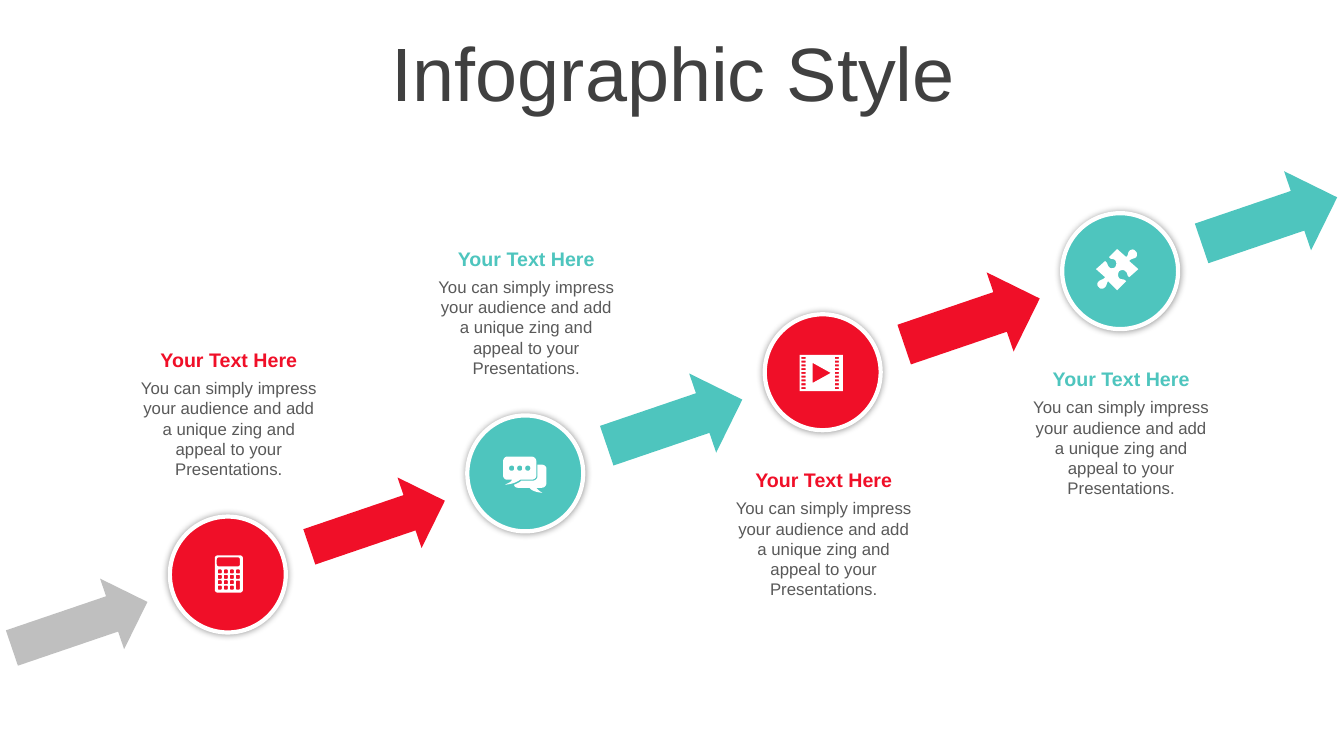
"""Build the rising four-step arrow infographic slide."""
import math
from collections import namedtuple
from lxml import etree
from pptx import Presentation
from pptx.dml.color import RGBColor
from pptx.enum.shapes import MSO_SHAPE
from pptx.enum.text import MSO_ANCHOR, PP_ALIGN
from pptx.oxml.ns import qn
from pptx.util import Inches, Pt

ARROW, CIRCLE = MSO_SHAPE.RIGHT_ARROW, MSO_SHAPE.OVAL
MIDDLE, CENTER = MSO_ANCHOR.MIDDLE, PP_ALIGN.CENTER

Theme = namedtuple("Theme", "font red teal grey white title body title_pt head_pt body_pt")
THEME = Theme("Arial", "F00F28", "4EC5BE", "BFBFBF", "FFFFFF", "404040", "595959", 54, 14, 12)

TITLE = "Infographic Style"
BODY = ("You can simply impress your audience and add a unique zing "
        "and appeal to your Presentations.")
STEPS = [
    ("Your Text Here", BODY, THEME.red, "above"),
    ("Your Text Here", BODY, THEME.teal, "above"),
    ("Your Text Here", BODY, THEME.red, "below"),
    ("Your Text Here", BODY, THEME.teal, "below"),
]
ARROWS = [(THEME.grey, 0.74), (THEME.red, 0.74), (THEME.teal, 0.83),
          (THEME.red, 0.83), (THEME.teal, 0.83)]

RUN, RISE, TILT = 2.95, 3.01 / 3, 341.2
FIRST_ARROW, ARROW_W = (0.79, 6.2), 1.42
FIRST_CIRCLE, CIRCLE_D = (2.26, 5.7), 1.15
TEXT_LEFT, TEXT_W = 1.28, 1.98
HEAD_OFFSET = {"above": -2.3, "below": 0.9}
HEAD_H, BODY_DROP, BODY_H = 0.34, 0.3, 1.11

# Each outline is a start point, then lines (x, y) or cubic curves (six numbers).
FRONT_BUBBLE = [
    (5.03, 4.53), (5.27, 4.53), (5.3, 4.53, 5.32, 4.55, 5.32, 4.58), (5.32, 4.72),
    (5.32, 4.74, 5.3, 4.76, 5.27, 4.76), (5.16, 4.76), (5.11, 4.79, 5.09, 4.8, 5.01, 4.81),
    (5.06, 4.78, 5.06, 4.79, 5.08, 4.76), (5.03, 4.76), (5.01, 4.76, 4.99, 4.74, 4.99, 4.72),
    (4.99, 4.58), (4.99, 4.55, 5.01, 4.53, 5.03, 4.53)]
BACK_BUBBLE = [
    (5.33, 4.61), (5.37, 4.61), (5.4, 4.61, 5.42, 4.63, 5.42, 4.65), (5.42, 4.79),
    (5.42, 4.82, 5.4, 4.84, 5.37, 4.84), (5.32, 4.84), (5.33, 4.85, 5.33, 4.86, 5.38, 4.89),
    (5.3, 4.88, 5.28, 4.87, 5.25, 4.84), (5.14, 4.84), (5.12, 4.84, 5.1, 4.83, 5.1, 4.81),
    (5.12, 4.8, 5.15, 4.79, 5.17, 4.77), (5.28, 4.77), (5.31, 4.77, 5.33, 4.75, 5.33, 4.73)]
PUZZLE = [
    (11.26, 2.49), (11.28, 2.5, 11.28, 2.53, 11.27, 2.55),
    (11.25, 2.57, 11.22, 2.56, 11.2, 2.59), (11.29, 2.67), (11.2, 2.75),
    (11.17, 2.73, 11.19, 2.71, 11.16, 2.69), (11.14, 2.67, 11.12, 2.68, 11.1, 2.69),
    (11.09, 2.71, 11.08, 2.73, 11.1, 2.76), (11.13, 2.78, 11.14, 2.76, 11.17, 2.79),
    (11.08, 2.88), (10.99, 2.79), (10.97, 2.82, 10.98, 2.83, 10.96, 2.85),
    (10.94, 2.87, 10.91, 2.87, 10.9, 2.85), (10.88, 2.84, 10.88, 2.81, 10.89, 2.8),
    (10.91, 2.77, 10.94, 2.78, 10.96, 2.75), (10.87, 2.67), (10.96, 2.59),
    (10.99, 2.61, 10.98, 2.63, 11, 2.65), (11.02, 2.67, 11.05, 2.66, 11.06, 2.65),
    (11.07, 2.63, 11.08, 2.61, 11.06, 2.58), (11.03, 2.56, 11.02, 2.58, 11, 2.55),
    (11.08, 2.47), (11.17, 2.55), (11.2, 2.52, 11.18, 2.51, 11.2, 2.49),
    (11.22, 2.47, 11.25, 2.47, 11.26, 2.49)]


def flatten(outline, parts=8):
    points = [outline[0]]
    for seg in outline[1:]:
        if len(seg) == 2:
            points.append(seg)
            continue
        ctrl = [points[-1], seg[:2], seg[2:4], seg[4:]]
        for n in range(1, parts + 1):
            t = n / parts
            weights = [math.comb(3, k) * t**k * (1 - t)**(3 - k) for k in range(4)]
            points.append(tuple(sum(w * c[axis] for w, c in zip(weights, ctrl))
                                for axis in (0, 1)))
    return points


def rounded(x, y, w, h, r=0.0):
    if not r:
        return [(x, y), (x + w, y), (x + w, y + h), (x, y + h)]
    centers = [(x + w - r, y + h - r), (x + r, y + h - r), (x + r, y + r), (x + w - r, y + r)]
    return [(cx + r * math.cos(math.radians(a)), cy + r * math.sin(math.radians(a)))
            for q, (cx, cy) in enumerate(centers)
            for a in range(90 * q, 90 * q + 91, 15)]


def calculator():
    keys = [rounded(2.16 + 0.06 * col, 5.65 + 0.16 / 3 * row, 0.04, 0.04, 0.01)
            for row in range(4) for col in range(4) if col < 3 or row < 2]
    return [rounded(2.13, 5.51, 0.28, 0.37, 0.03), rounded(2.15, 5.53, 0.23, 0.09, 0.02),
            rounded(2.34, 5.76, 0.04, 0.09, 0.01)] + keys


def chat():
    dots = [rounded(5.05 + 0.08 * n, 4.62, 0.05, 0.05, 0.02) for n in range(3)]
    return [flatten(FRONT_BUBBLE), flatten(BACK_BUBBLE)] + dots


def film():
    holes = [rounded(x, 3.54 + 0.3 / 8 * row, 0.04, 0.02)
             for x in (7.95, 8.28) for row in range(9)]
    return [rounded(7.93, 3.52, 0.43, 0.36), [(8.06, 3.6), (8.06, 3.8), (8.24, 3.7)]] + holes


def paint(sp, color):
    sp.shadow.inherit = False
    sp.fill.solid()
    sp.fill.fore_color.rgb = RGBColor.from_string(color)
    sp.line.fill.background()


def add_centered(s, kind, cx, cy, w, h, color):
    sp = s.shapes.add_shape(kind, Inches(cx - w / 2), Inches(cy - h / 2), Inches(w), Inches(h))
    sp.rotation = TILT
    paint(sp, color)
    return sp


def add_circle(s, cx, cy, color):
    sp = add_centered(s, CIRCLE, cx, cy, CIRCLE_D, CIRCLE_D, color)
    sp.line.color.rgb = RGBColor.from_string(THEME.white)
    sp.line.width = Pt(3)
    effects = sp._element.spPr.find(qn("a:effectLst"))
    shadow = etree.SubElement(effects, qn("a:outerShdw"), blurRad=str(Pt(5)), dist="0", dir="0")
    tint = etree.SubElement(shadow, qn("a:srgbClr"), val="000000")
    etree.SubElement(tint, qn("a:alpha"), val="40000")


def add_icon(s, contours):
    scaled = [[(Inches(x), Inches(y)) for x, y in contour] for contour in contours]
    builder = s.shapes.build_freeform(*scaled[0][0])
    for n, contour in enumerate(scaled):
        if n:
            builder.move_to(*contour[0])
        builder.add_line_segments(contour[1:], close=True)
    paint(builder.convert_to_shape(), THEME.white)


def add_text(s, box, text, size, color, bold=False):
    tf = s.shapes.add_textbox(*map(Inches, box)).text_frame
    tf.word_wrap = True
    p = tf.paragraphs[0]
    p.alignment = CENTER
    r = p.add_run()
    r.text = text
    r.font.name, r.font.size, r.font.bold = THEME.font, Pt(size), bold
    r.font.color.rgb = RGBColor.from_string(color)
    return tf


def main():
    prs = Presentation()
    prs.slide_width, prs.slide_height = Inches(13.33), Inches(7.5)
    s = prs.slides.add_slide(prs.slide_layouts[6])

    tf = add_text(s, (0.35, 0.37, 12.66, 0.79), TITLE, THEME.title_pt, THEME.title)
    tf.vertical_anchor = MIDDLE
    tf.paragraphs[0].line_spacing = 0.9

    for n, (color, height) in enumerate(ARROWS):
        add_centered(s, ARROW, FIRST_ARROW[0] + RUN * n, FIRST_ARROW[1] - RISE * n,
                     ARROW_W, height, color)

    for n, (heading, body, color, side) in enumerate(STEPS):
        cy = FIRST_CIRCLE[1] - RISE * n
        add_circle(s, FIRST_CIRCLE[0] + RUN * n, cy, color)
        left, top = TEXT_LEFT + RUN * n, cy + HEAD_OFFSET[side]
        add_text(s, (left, top + BODY_DROP, TEXT_W, BODY_H), body, THEME.body_pt, THEME.body)
        add_text(s, (left, top, TEXT_W, HEAD_H), heading, THEME.head_pt, color, True)

    for contours in (calculator(), chat(), film(), [flatten(PUZZLE)]):
        add_icon(s, contours)

    prs.save("out.pptx")


if __name__ == "__main__":
    main()
